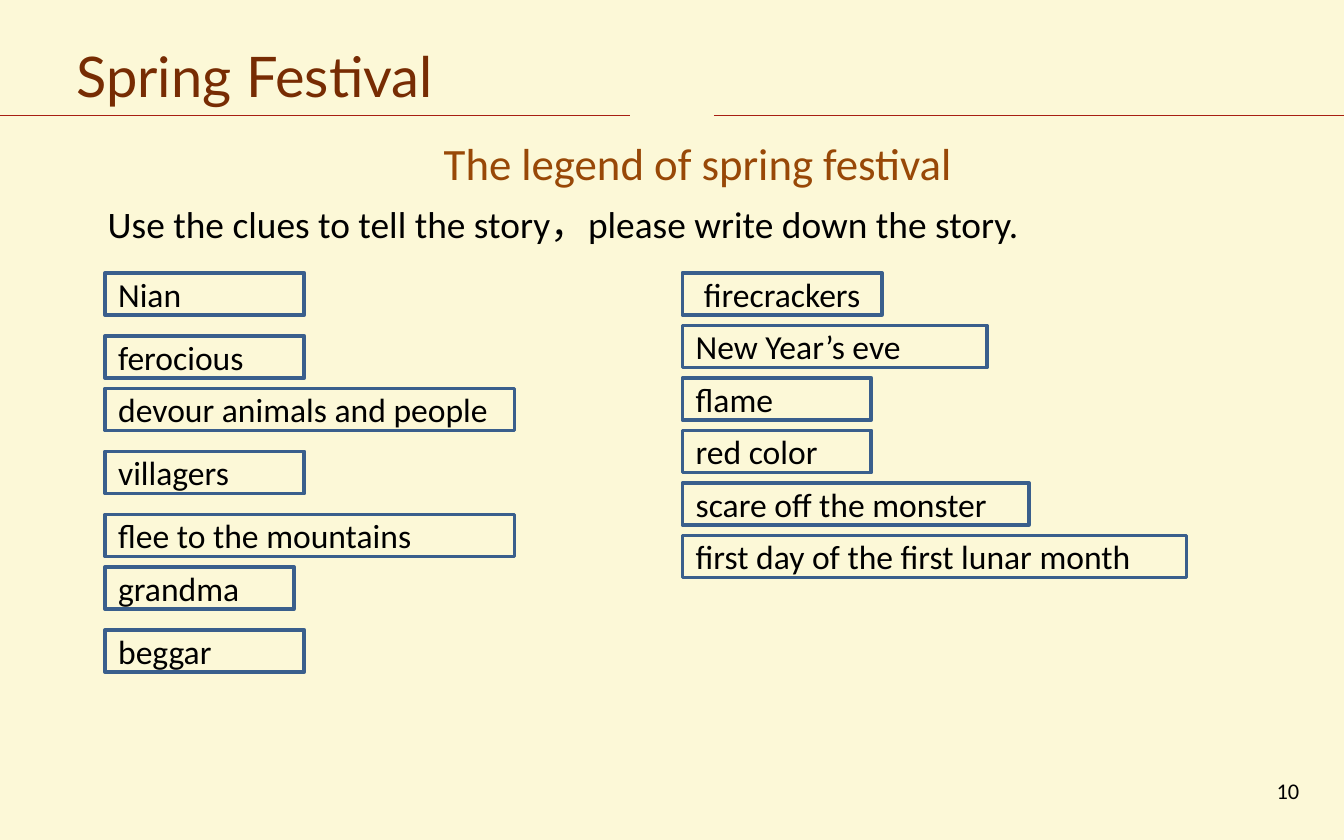
from lxml.etree import SubElement
from pptx import Presentation
from pptx.dml.color import RGBColor
from pptx.enum.shapes import MSO_CONNECTOR as Connector, MSO_SHAPE as Shape
from pptx.enum.text import MSO_ANCHOR as Anchor, MSO_AUTO_SIZE as AutoSize, PP_ALIGN as Align
from pptx.oxml.ns import qn
from pptx.util import Inches, Pt

WIDTH, HEIGHT = Inches(10), Inches(6.25)
COLUMNS, ROWS = 128, 80
COLORS = {
    "paper": "FCF8D7",
    "rule": "A71F13",
    "title": "772C03",
    "subtitle": "984807",
    "border": "3A5F8C",
    "text": "000000",
}
CLUE_HEIGHT = 4
LEFT_CLUES = [
    ("Nian", 26, 19),
    ("ferocious", 32, 19),
    ("devour animals and people", 37, 39),
    ("villagers", 43, 19),
    ("flee to the mountains", 49, 39),
    ("grandma", 54, 18),
    ("beggar", 60, 19),
]
RIGHT_CLUES = [
    ("firecrackers", 19),
    ("New Year’s eve", 29),
    ("flame", 18),
    ("red color", 18),
    ("scare off the monster", 33),
    ("first day of the first lunar month", 48),
]


def color(name):
    return RGBColor.from_string(COLORS[name])


def across(columns):
    return round(WIDTH * columns / COLUMNS)


def down(rows):
    return round(HEIGHT * rows / ROWS)


def area(column, row, columns, rows):
    return across(column), down(row), across(columns), down(rows)


def set_all(target, values):
    for name, value in values.items():
        setattr(target, name, value)


def write(shape, text, size, ink="text", font="Calibri", frame_format=None, para_format=None):
    frame = shape.text_frame
    set_all(frame, {"word_wrap": True, "auto_size": AutoSize.NONE, **(frame_format or {})})
    para = frame.paragraphs[0]
    set_all(para, {"alignment": Align.LEFT, **(para_format or {})})
    span = para.add_run()
    span.text = text
    set_all(span.font, {"size": Pt(size), "name": font})
    span.font.color.rgb = color(ink)


def add_title(slide, text):
    title = slide.shapes.title
    places = area(6, 2, 111, 9.1)
    set_all(title, dict(zip(("left", "top", "width", "height"), places)))
    write(title, text, 30, "title", "Lato",
          {"vertical_anchor": Anchor.TOP}, {"line_spacing": 1.2})


def add_text(slide, place, text, size, **formats):
    write(slide.shapes.add_textbox(*area(*place)), text, size, **formats)


def add_rule(slide, start, end, row=11):
    rule = slide.shapes.add_connector(
        Connector.STRAIGHT, across(start), down(row), across(end), down(row))
    rule.line.color.rgb = color("rule")
    rule.line.width = Pt(0.75)
    SubElement(rule._element.spPr, qn("a:effectLst"))


def add_clue(slide, text, column, row, columns, align=Align.LEFT):
    box = slide.shapes.add_shape(Shape.RECTANGLE, *area(column, row, columns, CLUE_HEIGHT))
    box.shadow.inherit = False
    box.fill.solid()
    box.fill.fore_color.rgb = color("paper")
    box.line.color.rgb = color("border")
    box.line.width = Pt(2)
    write(box, text, 18, frame_format={"vertical_anchor": Anchor.MIDDLE},
          para_format={"alignment": align})


def main():
    deck = Presentation()
    set_all(deck, {"slide_width": WIDTH, "slide_height": HEIGHT})
    slide = deck.slides.add_slide(deck.slide_layouts.get_by_name("Title Only"))
    slide.background.fill.solid()
    slide.background.fill.fore_color.rgb = color("paper")

    add_rule(slide, 0, 60)
    add_rule(slide, 68, COLUMNS)
    add_title(slide, "Spring Festival")
    add_text(slide, (41, 12.3, 52.6, 6.5), "The legend of spring festival", 24,
             ink="subtitle", frame_format={"word_wrap": False})
    add_text(slide, (9, 17.7, 94, 8.8),
             "Use the clues to tell the story，please write down the story.", 20,
             para_format={"line_spacing": 1.2})

    for text, row, columns in LEFT_CLUES:
        add_clue(slide, text, 10, row, columns)
    for index, (text, columns) in enumerate(RIGHT_CLUES):
        align = Align.LEFT if index else Align.CENTER
        add_clue(slide, text, 65, 26 + 5 * index, columns, align)

    add_text(slide, (95.2, 73.2, 29.8, 4.2), "10", 12,
             frame_format={"vertical_anchor": Anchor.MIDDLE},
             para_format={"alignment": Align.RIGHT})
    deck.save("out.pptx")


if __name__ == "__main__":
    main()
